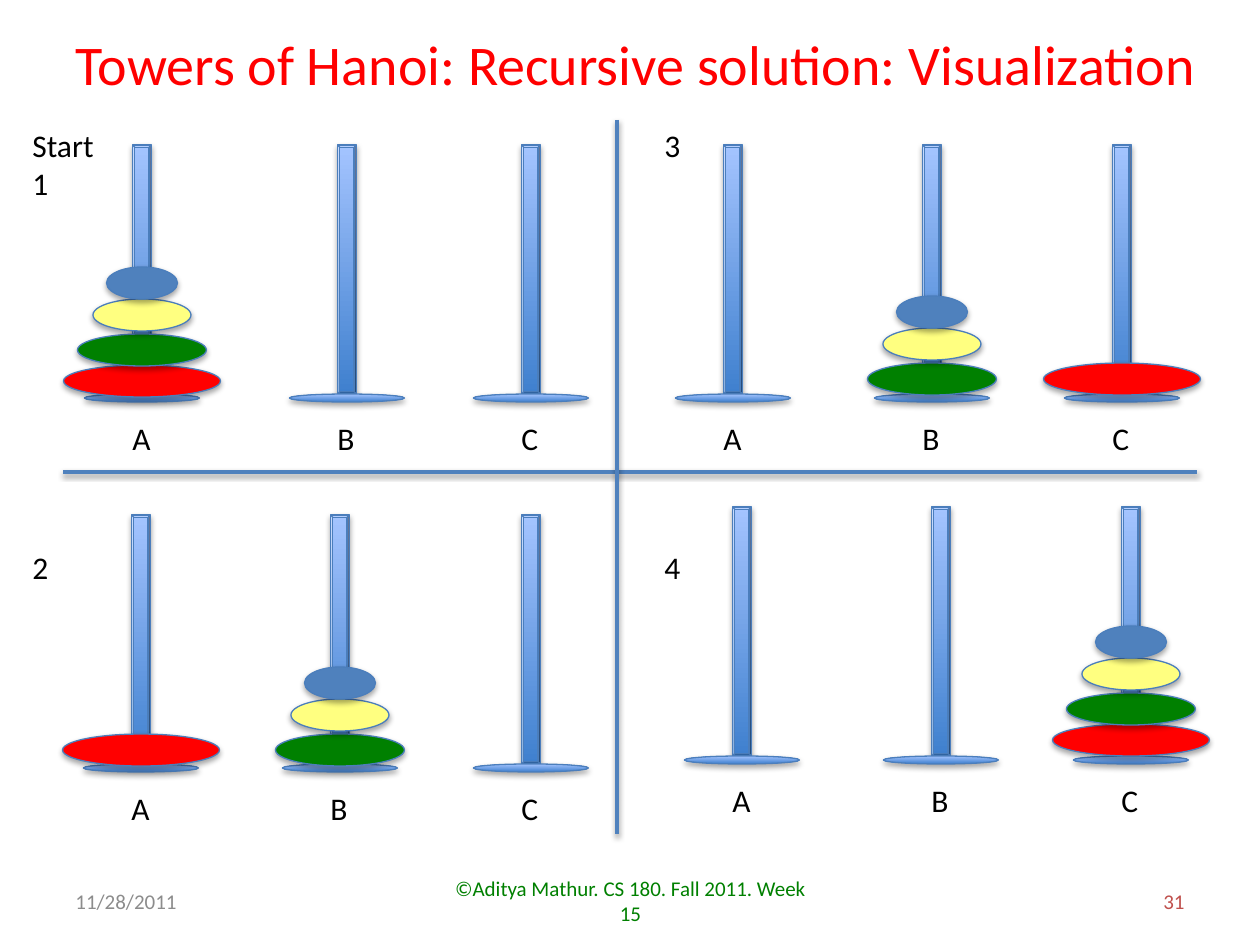
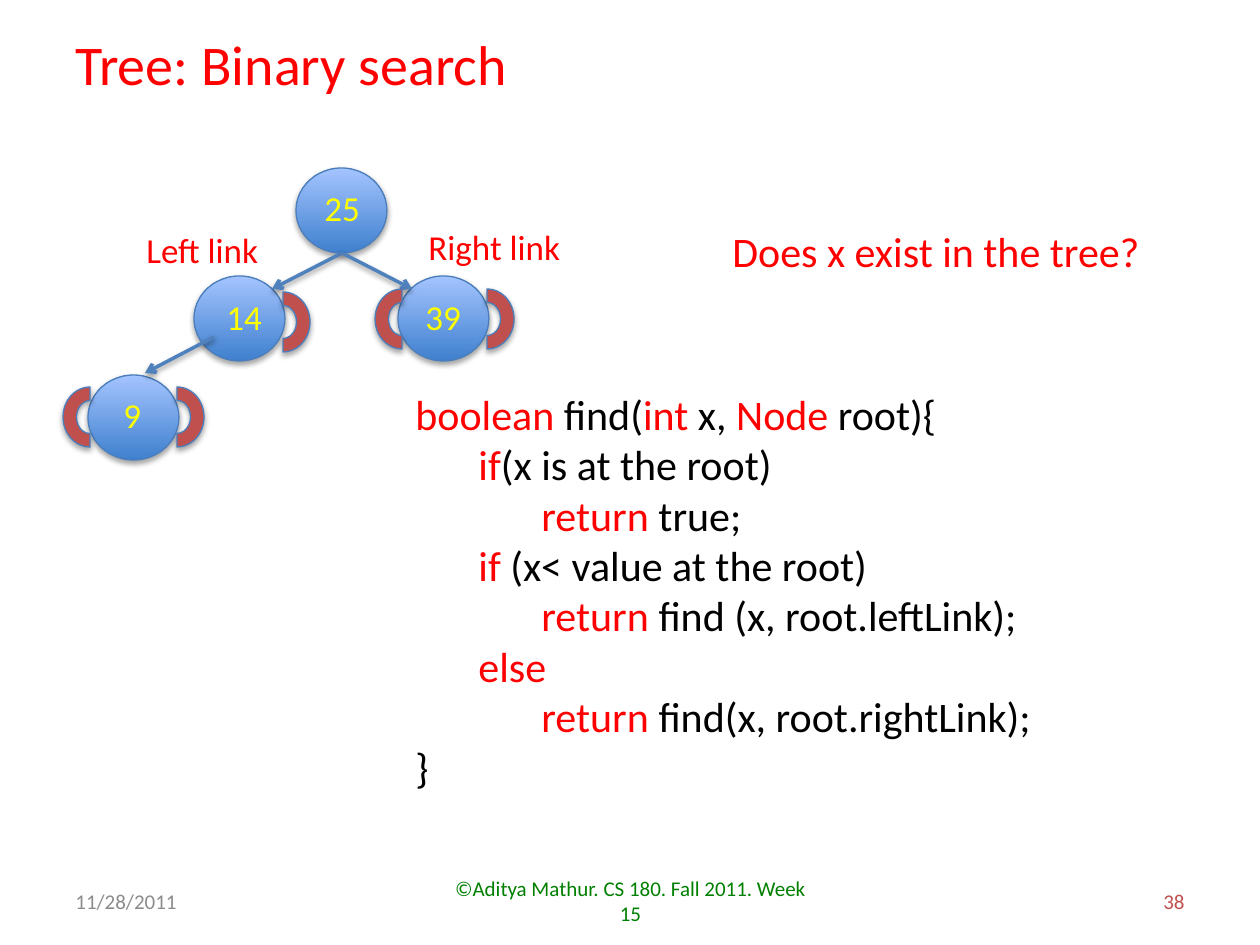
from lxml.etree import SubElement
from pptx import Presentation
from pptx.dml.color import RGBColor
from pptx.enum.shapes import MSO_CONNECTOR, MSO_SHAPE as Preset
from pptx.enum.text import MSO_ANCHOR, MSO_AUTO_SIZE, PP_ALIGN
from pptx.oxml.ns import qn
from pptx.util import Pt

SCALE = 914400 / 126
FONT = "Calibri"
RED, GREEN, YELLOW, BLUE = "FF0000", "008000", "FFFF80", "4F81BD"
BLACK, GREY, BRICK, LEMON = "000000", "8C8C8C", "C0504D", "FFFF00"
OUTLINE = "4B7EBC"
GLOSS = ("3F80CE", "A4C4FF")

DISKS = {  # width, colour, rise above the disk below
    "red": (157, RED, 0),
    "green": (129, GREEN, 31),
    "yellow": (98, YELLOW, 35),
    "blue": (71, BLUE, 32),
}
UPPER = ["green", "yellow", "blue"]
ALL = ["red"] + UPPER

CODE = [
    (0, [("boolean ", RED), ("find(", BLACK), ("int", RED), (" x, ", BLACK),
         ("Node", RED), (" root){", BLACK)]),
    (1, [("if", RED), ("(x is at the root)", BLACK)]),
    (2, [("return", RED), (" true;", BLACK)]),
    (1, [("if ", RED), ("(x< value at the root)", BLACK)]),
    (2, [("return ", RED), ("find (x, root.leftLink);", BLACK)]),
    (1, [("else", RED)]),
    (2, [("return ", RED), ("find(x, root.rightLink);", BLACK)]),
    (0, [("}", BLACK)]),
]


def px(value):
    """Turn picture pixels into EMU."""
    return round(value * SCALE)


def paint(text):
    """Turn a hex string into a colour."""
    return RGBColor.from_string(text)


def add_text(page, lines, left, top, width, height, size=18, color=BLACK,
             align=PP_ALIGN.LEFT, anchor=MSO_ANCHOR.TOP, wrap=False, grow=True):
    """Add a text box; a line is a string or an (indent level, spans) pair."""
    box = page.shapes.add_textbox(px(left), px(top), px(width), px(height))
    frame = box.text_frame
    frame.word_wrap = wrap
    frame.vertical_anchor = anchor
    frame.auto_size = MSO_AUTO_SIZE.SHAPE_TO_FIT_TEXT if grow else MSO_AUTO_SIZE.NONE
    for index, line in enumerate([lines] if isinstance(lines, str) else lines):
        level, spans = (0, [(line, color)]) if isinstance(line, str) else line
        para = frame.paragraphs[0] if index == 0 else frame.add_paragraph()
        para.alignment = align
        if level:
            para._p.get_or_add_pPr().set("marL", str(px(63 * level)))
        for words, span_color in spans:
            span = para.add_run()
            span.text = words
            span.font.name = FONT
            span.font.size = Pt(size)
            span.font.color.rgb = paint(span_color)


def add_shadow(item, distance, opacity):
    """Drop a soft black shadow straight down."""
    effects = SubElement(item._element.spPr, qn("a:effectLst"))
    shadow = SubElement(effects, qn("a:outerShdw"), blurRad="40000",
                        dist=str(distance), dir="5400000", rotWithShape="0")
    shade = SubElement(shadow, qn("a:srgbClr"), val=BLACK)
    SubElement(shade, qn("a:alpha"), val=str(opacity * 1000))


def add_form(page, preset, left, top, width, height, color=None, turn=0):
    """Add an outlined, shadowed shape, glossy blue unless a colour is given."""
    form = page.shapes.add_shape(preset, px(left), px(top), px(width), px(height))
    form.rotation = turn
    if color:
        form.fill.solid()
        form.fill.fore_color.rgb = paint(color)
    else:
        form.fill.gradient()
        form.fill.gradient_angle = 90
        for stop, shade in zip(form.fill.gradient_stops, GLOSS):
            stop.color.rgb = paint(shade)
    form.line.color.rgb = paint(OUTLINE)
    form.line.width = Pt(0.75)
    add_shadow(form, 23000, 35)


def add_line(page, x1, y1, x2, y2, arrow=False):
    """Add a shadowed straight line, with an arrowhead at its end on request."""
    line = page.shapes.add_connector(MSO_CONNECTOR.STRAIGHT,
                                     px(x1), px(y1), px(x2), px(y2))
    line.line.color.rgb = paint(BLUE)
    line.line.width = Pt(2)
    if arrow:
        SubElement(line.line._get_or_add_ln(), qn("a:tailEnd"), type="arrow")
    add_shadow(line, 20000, 38)


def add_page(deck, title, title_width, number):
    """Add a blank page with the shared title and footers."""
    page = deck.slides.add_slide(deck.slide_layouts[6])
    add_text(page, title, 63, 23, title_width, 81, size=32, color=RED)
    footers = [
        ("11/28/2011", 63, 294, GREY, PP_ALIGN.LEFT),
        ("©Aditya Mathur. CS 180. Fall 2011. Week 15", 431, 399, GREEN, PP_ALIGN.CENTER),
        (number, 903, 294, BRICK, PP_ALIGN.RIGHT),
    ]
    for words, left, width, color, align in footers:
        add_text(page, words, left, 876, width, 50, size=12, color=color, align=align,
                 anchor=MSO_ANCHOR.MIDDLE, wrap=True, grow=False)
    return page


def add_towers(page, centers, top, seat, stacks):
    """Draw three lettered pegs and the stacks of disks on them."""
    for letter, center in zip("ABC", centers):
        add_form(page, Preset.BEVEL, center - 9.5, top, 19, 249)
        add_form(page, Preset.OVAL, center - 57.5, top + 249, 115, 8)
        add_text(page, letter, center - 22, top + 268, 43, 50)
        level = top + seat
        for index, name in enumerate(stacks.get(letter, [])):
            width, color, rise = DISKS[name]
            level -= rise if index else 0
            add_form(page, Preset.OVAL, center - width / 2, level, width, 32, color)


def build_hanoi(deck):
    """Show four stages of the puzzle in a two by two grid."""
    page = add_page(deck, "Towers of Hanoi: Recursive solution: Visualization", 1167, "31")
    stages = [
        ((142, 347, 531), 145, 220, {"A": ALL}),
        ((141, 340, 531), 515, 219, {"A": ["red"], "B": UPPER}),
        ((733, 932, 1122), 145, 218, {"B": UPPER, "C": ["red"]}),
        ((742, 941, 1131), 507, 217, {"C": ALL}),
    ]
    for stage in stages:
        add_towers(page, *stage)
    names = [(["Start", "1"], 20, 120, 88, 89), ("2", 20, 542, 42, 50),
             ("3", 652, 120, 42, 50), ("4", 652, 542, 42, 50)]
    for name in names:
        add_text(page, *name)
    add_line(page, 63, 472, 1197, 472)
    add_line(page, 617, 120, 617, 834)


def build_search(deck):
    """Show a small search tree beside the code that searches it."""
    page = add_page(deck, "Tree: Binary search ", 466, "38")
    nodes = [("25", 296, 168, 312, 180, 62), ("39", 398, 276, 413, 289, 62),
             ("14", 194, 276, 214, 289, 62), ("9", 88, 375, 111, 387, 43)]
    for _, left, top, *_ in nodes:
        add_form(page, Preset.OVAL, left, top, 91, 85)
    for link in [(342, 253, 272, 289), (342, 253, 412, 289), (214, 337, 145, 373)]:
        add_line(page, *link, arrow=True)
    for x, y, turn in [(283, 322, 90), (402, 319, 270), (487, 319, 90),
                       (90, 417, 270), (177, 417, 90)]:
        add_form(page, Preset.BLOCK_ARC, x - 30, y - 27, 60, 54, BRICK, turn)
    for words, _, _, left, top, width in nodes:
        add_text(page, words, left, top, width, 55, size=20, color=LEMON)
    add_text(page, "Left link", 134, 222, 139, 55, size=20, color=RED)
    add_text(page, "Right link", 416, 219, 159, 55, size=20, color=RED)
    add_text(page, "Does x exist in the tree?", 720, 219, 438, 63, size=24, color=RED)
    add_text(page, CODE, 403, 382, 737, 471, size=24, wrap=True)


def main():
    """Build and save the deck."""
    deck = Presentation()
    deck.slide_width, deck.slide_height = px(1260), px(945)
    build_hanoi(deck)
    build_search(deck)
    deck.save("out.pptx")


main()
